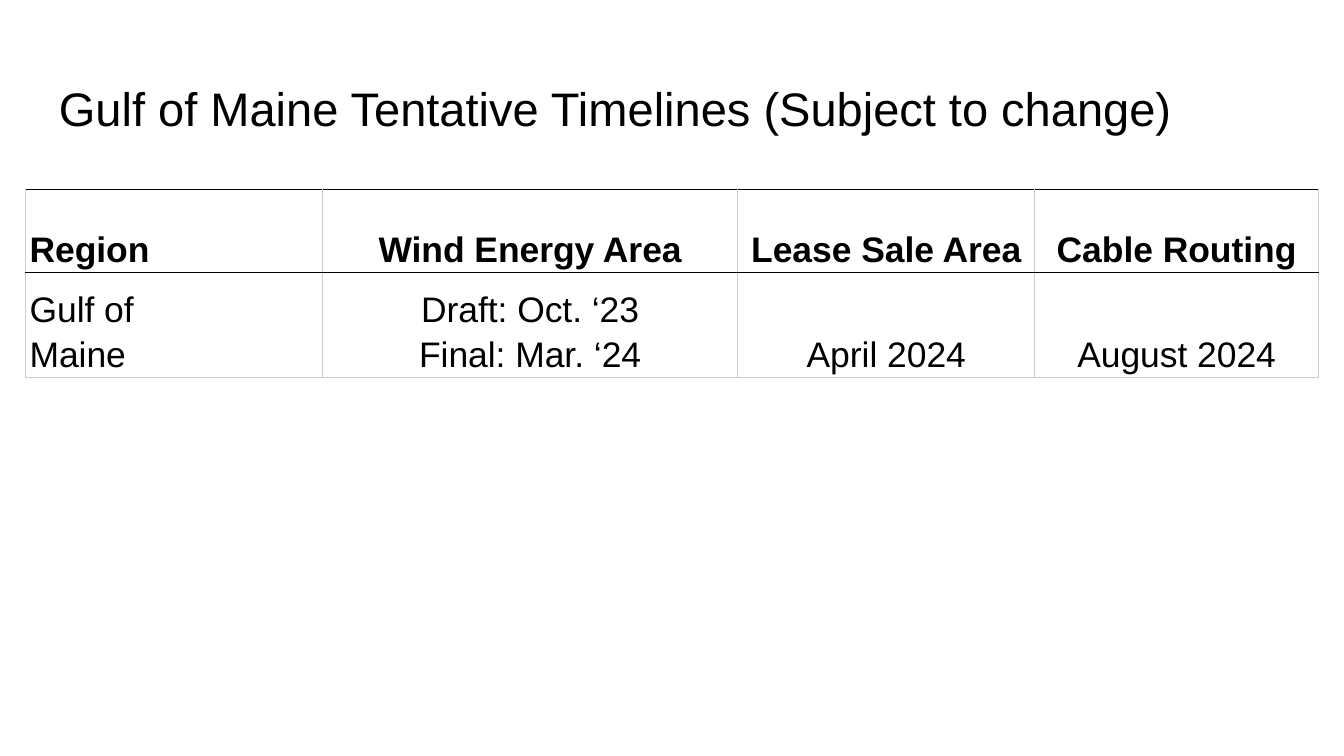
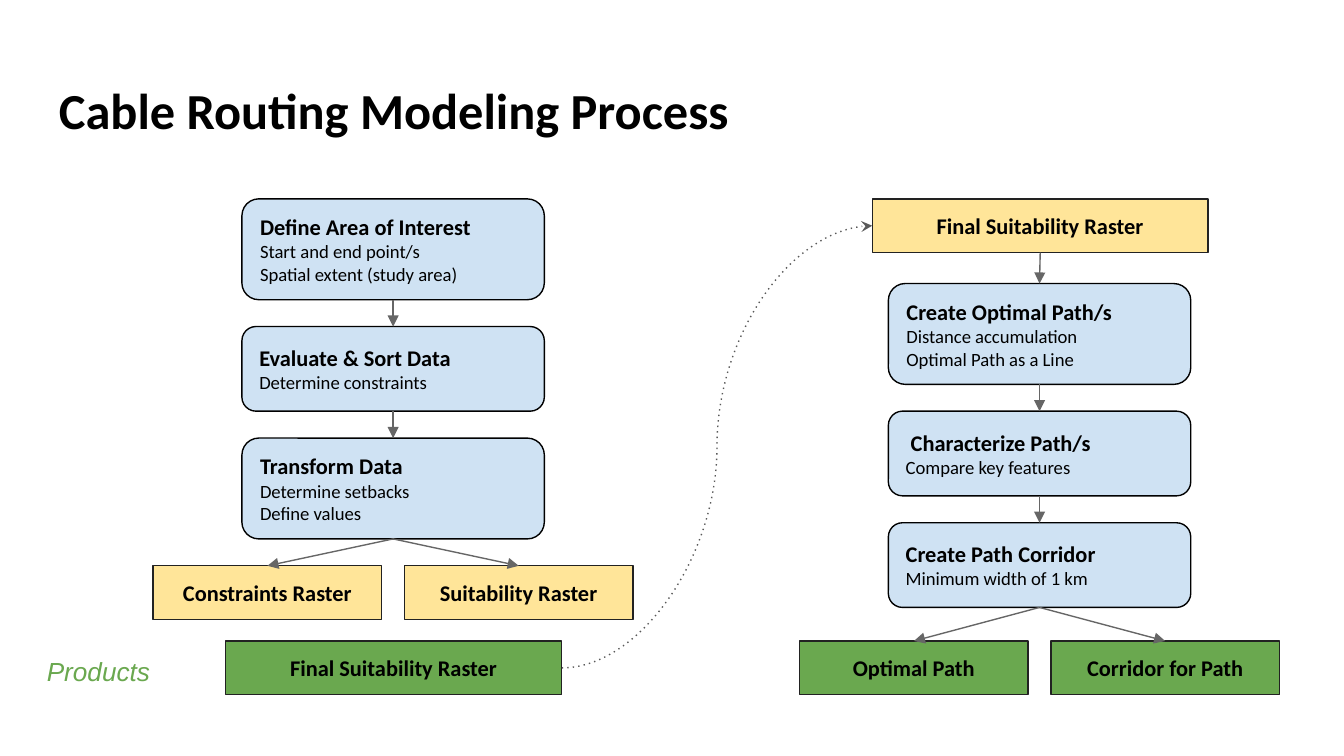
from dataclasses import dataclass

from lxml import etree
from pptx import Presentation
from pptx.dml.color import RGBColor
from pptx.enum.shapes import MSO_CONNECTOR, MSO_SHAPE
from pptx.enum.text import MSO_ANCHOR, MSO_AUTO_SIZE, PP_ALIGN
from pptx.oxml.ns import qn
from pptx.util import Emu, Pt

PX = 9144  # one hundredth of an inch
LEFT, CENTER = PP_ALIGN.LEFT, PP_ALIGN.CENTER
TOP, MIDDLE, BOTTOM = MSO_ANCHOR.TOP, MSO_ANCHOR.MIDDLE, MSO_ANCHOR.BOTTOM
GROW = MSO_AUTO_SIZE.SHAPE_TO_FIT_TEXT
RECTANGLE, ROUNDED = MSO_SHAPE.RECTANGLE, MSO_SHAPE.ROUNDED_RECTANGLE
STRAIGHT, CURVE = MSO_CONNECTOR.STRAIGHT, MSO_CONNECTOR.CURVE
SITE_TOP, SITE_LEFT, SITE_BOTTOM, SITE_RIGHT = range(4)


@dataclass(frozen=True)
class Theme:
    sans: str = "Arial"
    humanist: str = "Calibri"
    ink: str = "000000"
    step: str = "CFE2F3"
    raster: str = "FFE599"
    product: str = "6AA84F"
    edge: str = "222222"
    arrow: str = "666666"
    handover: str = "595959"
    grid: str = "CCCCCC"
    timeline_title: float = 25.2
    process_title: float = 27
    table: float = 19
    label: float = 14
    heading: float = 12
    detail: float = 10
    line: float = 0.75


THEME = Theme()
PAGE_WIDTH = 1000
TITLE_BOX = (34, 49, 932, 63)
INSET = 10
STEP_WIDTH = 225
STEP_GAP = 20
STEP_HEIGHTS = {2: 63, 3: 75}  # by number of text lines
BAND_HEIGHT = 40
WIDE_BAND = 250
HALF_BAND = 170
BAND_GAP = 17
TOP_ROW, PRODUCT_ROW = 148, 477

TIMELINE_HEADER = ["Region", "Wind Energy Area", "Lease Sale Area", "Cable Routing"]
TIMELINE_ROW = ["Gulf of Maine", "Draft: Oct. ‘23\nFinal: Mar. ‘24",
                "April 2024", "August 2024"]
PREPARE_STEPS = [
    ["Define Area of Interest", "Start and end point/s", "Spatial extent (study area)"],
    ["Evaluate & Sort Data", "Determine constraints"],
    ["Transform Data", "Determine setbacks", "Define values"],
]
ROUTE_STEPS = [
    ["Create Optimal Path/s", "Distance accumulation", "Optimal Path as a Line"],
    [" Characterize Path/s", "Compare key features"],
    ["Create Path Corridor", "Minimum width of 1 km"],
]


def px(*lengths):
    return [Emu(length * PX) for length in lengths]


def rgb(color):
    return RGBColor.from_string(color)


def add_span(para, text, size, font, color=THEME.ink, bold=False, italic=False):
    span = para.add_run()
    span.text = text
    span.font.size, span.font.name = Pt(size), font
    span.font.bold, span.font.italic = bold, italic
    span.font.color.rgb = rgb(color)


def paragraphs(frame, texts):
    """Yield one paragraph for each text, starting with the one already there."""
    for index, text in enumerate(texts):
        yield (frame.add_paragraph() if index else frame.paragraphs[0]), text


def set_margins(target, left, top, right, bottom):
    (target.margin_left, target.margin_top,
     target.margin_right, target.margin_bottom) = px(left, top, right, bottom)


def prepare_frame(shape, anchor=TOP, grow=False):
    frame = shape.text_frame
    frame.word_wrap = True
    frame.vertical_anchor = anchor
    set_margins(frame, INSET, INSET, INSET, INSET)
    if grow:
        frame.auto_size = GROW
    return frame


def add_label(page, box, text, size, font, grow=False, **style):
    shape = page.shapes.add_textbox(*px(*box))
    frame = prepare_frame(shape, grow=grow)
    add_span(frame.paragraphs[0], text, size, font, **style)


def add_block(page, kind, box, fill, edge):
    shape = page.shapes.add_shape(kind, *px(*box))
    shape.shadow.inherit = False
    shape.fill.solid()
    shape.fill.fore_color.rgb = rgb(fill)
    shape.line.color.rgb = rgb(edge)
    shape.line.width = Pt(THEME.line)
    return shape


def add_step(page, box, lines):
    shape = add_block(page, ROUNDED, box, THEME.step, THEME.ink)
    frame = prepare_frame(shape, MIDDLE)
    for para, text in paragraphs(frame, lines):
        is_heading = text == lines[0]
        para.alignment = LEFT
        add_span(para, text, THEME.heading if is_heading else THEME.detail,
                 THEME.humanist, bold=is_heading)
    return shape


def add_band(page, box, text, fill):
    shape = add_block(page, RECTANGLE, box, fill, THEME.edge)
    para = prepare_frame(shape, grow=True).paragraphs[0]
    para.alignment = CENTER
    add_span(para, text, THEME.heading, THEME.humanist, bold=True)
    return shape


def add_wide_band(page, center, top, text, fill):
    left = int(center - WIDE_BAND / 2)
    return add_band(page, (left, top, WIDE_BAND, BAND_HEIGHT), text, fill)


def add_band_pair(page, center, top, texts, fill):
    left = int(center - HALF_BAND - BAND_GAP / 2)
    return [add_band(page, (left + index * (HALF_BAND + BAND_GAP), top,
                            HALF_BAND, BAND_HEIGHT), text, fill)
            for index, text in enumerate(texts)]


def link(page, source, target, kind=STRAIGHT, sites=(SITE_BOTTOM, SITE_TOP),
         color=THEME.arrow, head="triangle", dash=None):
    connector = page.shapes.add_connector(kind, 0, 0, 0, 0)
    connector.begin_connect(source, sites[0])
    connector.end_connect(target, sites[1])
    connector.line.color.rgb = rgb(color)
    connector.line.width = Pt(THEME.line)
    properties = connector._element.spPr
    outline = properties.find(qn("a:ln"))
    if dash:
        etree.SubElement(outline, qn("a:prstDash"), val=dash)
    etree.SubElement(outline, qn("a:tailEnd"), type=head)
    etree.SubElement(properties, qn("a:effectLst"))


def add_step_column(page, center, top, steps):
    """Stack the steps downwards, joined by arrows, and return their shapes."""
    shapes = []
    left = int(center - STEP_WIDTH / 2)
    for lines in steps:
        height = STEP_HEIGHTS[len(lines)]
        shapes.append(add_step(page, (left, top, STEP_WIDTH, height), lines))
        top += height + STEP_GAP
    for upper, lower in zip(shapes, shapes[1:]):
        link(page, upper, lower)
    return shapes


def set_borders(cell, **colors):
    properties = cell._tc.get_or_add_tcPr()
    for side, color in colors.items():
        border = etree.SubElement(properties, qn(f"a:ln{side}"), w=str(Pt(THEME.line)))
        fill = etree.SubElement(border, qn("a:solidFill"))
        etree.SubElement(fill, qn("a:srgbClr"), val=color)


def add_timeline_table(page, left, top, widths, heights):
    rows = [TIMELINE_HEADER, TIMELINE_ROW]
    table = page.shapes.add_table(len(rows), len(widths), *px(
        left, top, sum(widths), sum(heights))).table
    table.first_row = table.horz_banding = False
    for column, width in zip(table.columns, px(*widths)):
        column.width = width
    for row_index, (height, texts) in enumerate(zip(px(*heights), rows)):
        table.rows[row_index].height = height
        is_header = row_index == 0
        for column_index, text in enumerate(texts):
            cell = table.cell(row_index, column_index)
            is_region = column_index == 0
            set_borders(cell, L=THEME.grid, R=THEME.grid, T=THEME.ink,
                        B=THEME.ink if is_header else THEME.grid)
            cell.fill.background()
            cell.vertical_anchor = BOTTOM
            set_margins(cell, 3, 2, 80 if is_region and not is_header else 3, 2)
            for para, line in paragraphs(cell.text_frame, text.split("\n")):
                para.alignment = LEFT if is_region else CENTER
                para.line_spacing = 1.15
                add_span(para, line, THEME.table, THEME.sans, bold=is_header)


def add_timeline_page(page):
    add_label(page, TITLE_BOX, "Gulf of Maine Tentative Timelines (Subject to change)",
              THEME.timeline_title, THEME.sans)
    add_timeline_table(page, 19, 141, widths=[221, 309, 221, 211], heights=[62, 78])


def add_prepare_column(page, center):
    """Build the data preparation flow and return its final product."""
    steps = add_step_column(page, center, TOP_ROW, PREPARE_STEPS)
    for band in add_band_pair(page, center, 421,
                              ["Constraints Raster", "Suitability Raster"], THEME.raster):
        link(page, steps[-1], band)
    return add_wide_band(page, center, PRODUCT_ROW, "Final Suitability Raster",
                         THEME.product)


def add_route_column(page, center):
    """Build the routing flow and return the raster it starts from."""
    source = add_wide_band(page, center, TOP_ROW, "Final Suitability Raster", THEME.raster)
    steps = add_step_column(page, center, 211, ROUTE_STEPS)
    link(page, source, steps[0])
    for band in add_band_pair(page, center, PRODUCT_ROW,
                              ["Optimal Path", "Corridor for Path"], THEME.product):
        link(page, steps[-1], band)
    return source


def add_process_page(page):
    add_label(page, TITLE_BOX, "Cable Routing Modeling Process",
              THEME.process_title, THEME.humanist, bold=True)
    product = add_prepare_column(page, 293)
    source = add_route_column(page, 774)
    link(page, product, source, CURVE, (SITE_RIGHT, SITE_LEFT),
         THEME.handover, "stealth", "dot")
    add_label(page, (25, 478, 123, 44), "Products", THEME.label, THEME.sans,
              grow=True, color=THEME.product, italic=True)


def main():
    deck = Presentation()
    deck.slide_width = Emu(PAGE_WIDTH * PX)
    deck.slide_height = Emu(deck.slide_width * 9 // 16)
    blank = deck.slide_layouts[6]
    for build in (add_timeline_page, add_process_page):
        build(deck.slides.add_slide(blank))
    deck.save("out.pptx")


if __name__ == "__main__":
    main()
